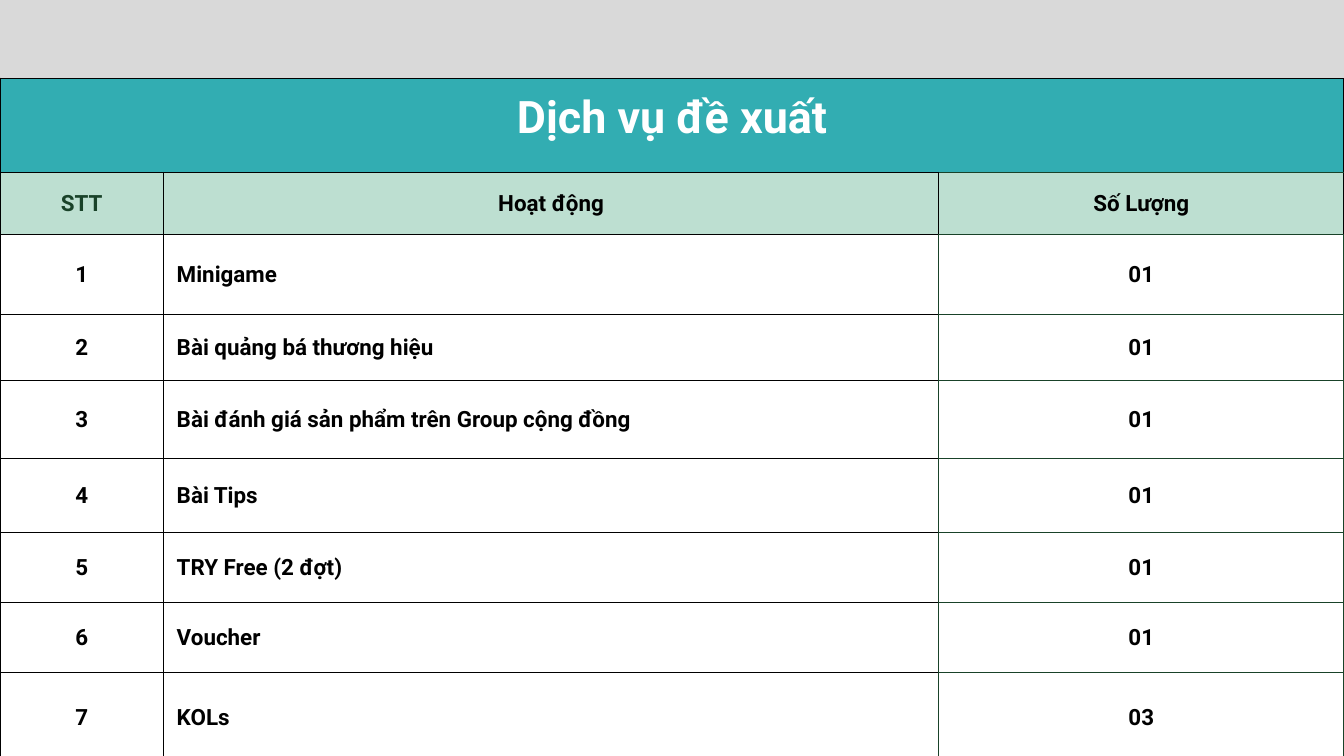
from lxml import etree
from pptx import Presentation
from pptx.dml.color import RGBColor
from pptx.enum.text import MSO_ANCHOR, PP_ALIGN
from pptx.oxml.ns import qn
from pptx.util import Cm, Pt

LEFT, MID = PP_ALIGN.LEFT, PP_ALIGN.CENTER
TOP, CENTER = MSO_ANCHOR.TOP, MSO_ANCHOR.MIDDLE
BLACK = RGBColor(0x00, 0x00, 0x00)
WHITE = RGBColor(0xFF, 0xFF, 0xFF)
GREY = RGBColor(0xD9, 0xD9, 0xD9)
TEAL = RGBColor(0x32, 0xAD, 0xB2)
MINT = RGBColor(0xBD, 0xDF, 0xD1)
GREEN = RGBColor(0x19, 0x42, 0x29)

TITLE = "Dịch vụ đề xuất"
HEAD = ("STT", "Hoạt động", "Số Lượng")
TASKS = [
    ("Minigame", "01"),
    ("Bài quảng bá thương hiệu", "01"),
    ("Bài đánh giá sản phẩm trên Group cộng đồng", "01"),
    ("Bài Tips", "01"),
    ("TRY Free (2 đợt)", "01"),
    ("Voucher", "01"),
    ("KOLs", "03"),
]
WIDTHS = (3.09, 14.65, 7.66)
HEIGHTS = (1.78, 1.17, 1.52, 1.24, 1.48, 1.4, 1.32, 1.32, 1.7)


def set_edges(cell, colors):
    """Draw the cell borders; colors maps L, R, T and B to a colour."""
    props = cell._tc.get_or_add_tcPr()
    for side in "LRTB":
        line = etree.SubElement(props, qn(f"a:ln{side}"), w=str(Pt(0.75)))
        fill = etree.SubElement(line, qn("a:solidFill"))
        etree.SubElement(fill, qn("a:srgbClr"), val=str(colors[side]))


def set_text(cell, text, align, anchor, fill, style):
    """Fill the cell and write its text."""
    cell.fill.solid()
    cell.fill.fore_color.rgb = fill
    cell.vertical_anchor = anchor
    for side in ("left", "right", "top", "bottom"):
        setattr(cell, f"margin_{side}", Cm(0.25))
    para = cell.text_frame.paragraphs[0]
    para.alignment = align
    run = para.add_run()
    run.text = text
    for name, value in style.items():
        if name == "color":
            run.font.color.rgb = value
        else:
            setattr(run.font, name, value)


# Slide
deck = Presentation()
deck.slide_width, deck.slide_height = Cm(25.4), Cm(14.29)
slide = deck.slides.add_slide(deck.slide_layouts[6])
slide.background.fill.solid()
slide.background.fill.fore_color.rgb = GREY

# Table grid
frame = slide.shapes.add_table(len(HEIGHTS), len(WIDTHS), Cm(0), Cm(1.48),
                               Cm(sum(WIDTHS)), Cm(sum(HEIGHTS)))
table = frame.table
for col, width in zip(table.columns, WIDTHS):
    col.width = Cm(width)
for row, height in zip(table.rows, HEIGHTS):
    row.height = Cm(height)

# Borders: black, with green around the amounts
for r in range(len(HEIGHTS)):
    for c in range(len(WIDTHS)):
        edges = dict.fromkeys("LRTB", BLACK)
        if c == 2 and r > 0:
            edges.update(T=GREEN, B=GREEN)
            if r > 1:
                edges.update(L=GREEN, R=GREEN)
        elif c == 1 and r > 1:
            edges["R"] = GREEN
        set_edges(table.cell(r, c), edges)

# Title row
base = {"name": "Roboto", "size": Pt(12), "bold": True, "color": BLACK}
table.cell(0, 0).merge(table.cell(0, 2))
set_text(table.cell(0, 0), TITLE, MID, TOP, TEAL,
         {**base, "size": Pt(24), "color": WHITE})

# Column heads
for c, text in enumerate(HEAD):
    color = GREEN if c == 0 else BLACK
    set_text(table.cell(1, c), text, MID, CENTER, MINT,
             {**base, "color": color})

# Numbered tasks
for num, (task, count) in enumerate(TASKS, 1):
    for c, text in enumerate((str(num), task, count)):
        align = LEFT if c == 1 else MID
        set_text(table.cell(num + 1, c), text, align, CENTER, WHITE, base)

deck.save("out.pptx")
